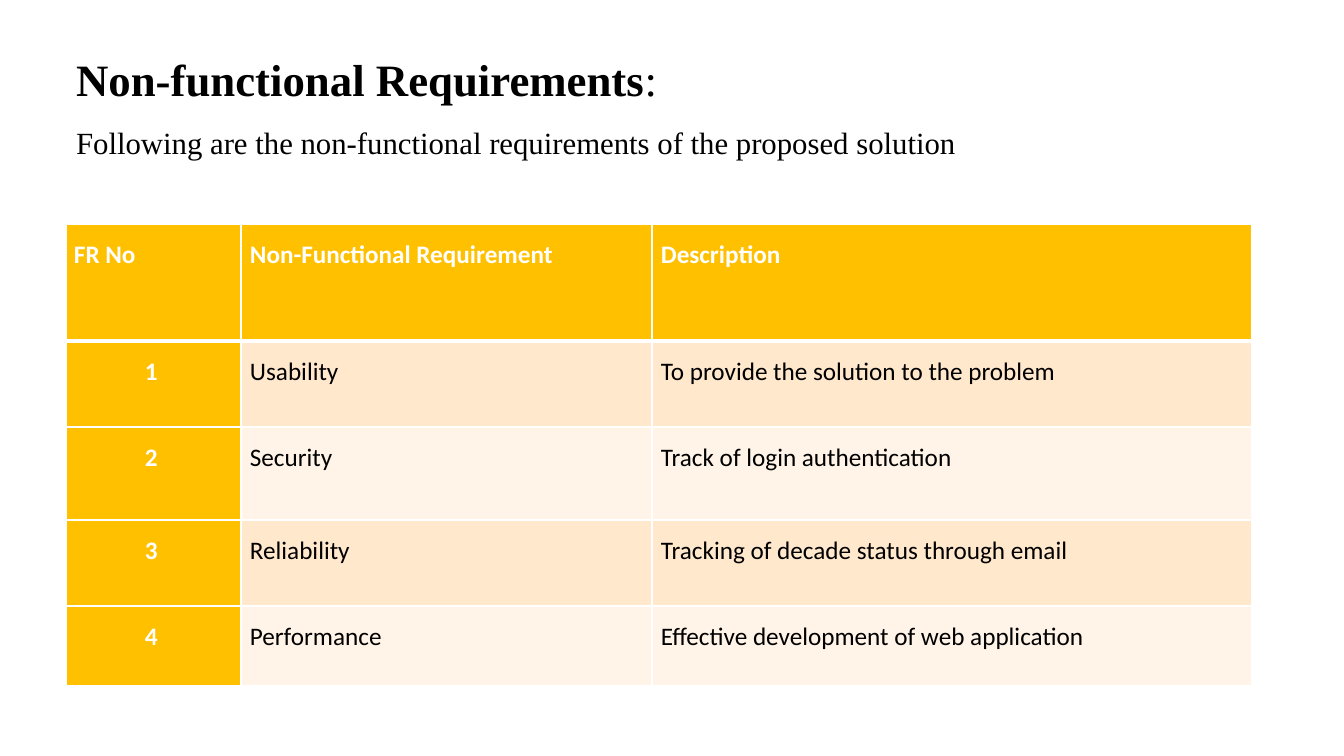
from lxml import etree
from pptx import Presentation
from pptx.dml.color import RGBColor
from pptx.enum.text import MSO_ANCHOR, MSO_AUTO_SIZE, PP_ALIGN
from pptx.oxml.ns import qn
from pptx.util import Pt

PIXEL = 914400 / 100.8
LEFT, CENTER = PP_ALIGN.LEFT, PP_ALIGN.CENTER
MIDDLE, TOP = MSO_ANCHOR.MIDDLE, MSO_ANCHOR.TOP
NO_AUTOFIT = MSO_AUTO_SIZE.NONE

WHITE, BLACK, AMBER = "FFFFFF", "000000", "FFC000"
BANDS = ["FFE8CC", "FFF4E7"]
TITLE_FONT, TABLE_FONT = "Times New Roman", "Calibri"

COLUMN_WIDTHS = [175, 411, 600]
ROW_HEIGHTS = [117, 86, 93, 86, 80]
REQUIREMENTS = [
    ["FR No", "Non-Functional Requirement", "Description"],
    ["1 ", "Usability", "To provide the solution to the problem"],
    ["2 ", "Security", "Track of login authentication"],
    ["3 ", "Reliability", "Tracking of decade status through email"],
    ["4 ", "Performance", "Effective development of web application"],
]


def pixels(count):
    """Turn whole pixels into EMU."""
    return round(count * PIXEL)


def add_run(paragraph, text, font, size, color, bold=False):
    """Append one formatted run to a paragraph."""
    run = paragraph.add_run()
    run.text = text
    run.font.name = font
    run.font.size = Pt(size)
    run.font.bold = bold
    run.font.color.rgb = RGBColor.from_string(color)


presentation = Presentation()
presentation.slide_width = pixels(1344)
presentation.slide_height = pixels(756)
slide = presentation.slides.add_slide(presentation.slide_layouts[5])

# Title with its introductory line
title = slide.shapes.title
title.left, title.top = pixels(66), pixels(20)
title.width, title.height = pixels(1159), pixels(146)
title.text_frame.auto_size = NO_AUTOFIT
title.text_frame.word_wrap = True
title.text_frame.vertical_anchor = MIDDLE
paragraph = title.text_frame.paragraphs[0]
paragraph.alignment = LEFT
paragraph.line_spacing = 1.5
add_run(paragraph, "Non-functional Requirements", TITLE_FONT, 32, BLACK, bold=True)
add_run(paragraph, ":", TITLE_FONT, 32, BLACK)
paragraph.add_line_break()
add_run(paragraph, "Following are the non-functional requirements of the proposed solution",
        TITLE_FONT, 22, BLACK)

# Requirements table
table = slide.shapes.add_table(
    len(ROW_HEIGHTS), len(COLUMN_WIDTHS), pixels(66), pixels(224),
    pixels(sum(COLUMN_WIDTHS)), pixels(sum(ROW_HEIGHTS))).table
table.first_col = True
for column, width in zip(table.columns, COLUMN_WIDTHS):
    column.width = pixels(width)
for row, height in zip(table.rows, ROW_HEIGHTS):
    row.height = pixels(height)

for row_index, texts in enumerate(REQUIREMENTS):
    for column_index, text in enumerate(texts):
        is_header = row_index == 0
        is_heading = is_header or column_index == 0
        cell = table.cell(row_index, column_index)
        cell.margin_left, cell.margin_right = pixels(8), pixels(7)
        cell.margin_top, cell.margin_bottom = pixels(11), 0
        cell.vertical_anchor = TOP
        cell.fill.solid()
        fill = AMBER if is_heading else BANDS[(row_index - 1) % 2]
        cell.fill.fore_color.rgb = RGBColor.from_string(fill)

        paragraph = cell.text_frame.paragraphs[0]
        paragraph.line_spacing = 1.15
        paragraph.alignment = CENTER if column_index == 0 and not is_header else LEFT
        if column_index > 0:
            paragraph._p.get_or_add_pPr().set("marL", str(pixels(1)))
        add_run(paragraph, text, TABLE_FONT, 18, WHITE if is_heading else BLACK, is_heading)

        # Border lines come before the fill in the cell properties
        properties = cell._tc.get_or_add_tcPr()
        for position, side in enumerate(["lnL", "lnR", "lnT", "lnB"]):
            below_header = (side == "lnB" and is_header) or (side == "lnT" and row_index == 1)
            border = etree.Element(qn(f"a:{side}"), w=str(Pt(3 if below_header else 1)))
            solid_fill = etree.SubElement(border, qn("a:solidFill"))
            etree.SubElement(solid_fill, qn("a:srgbClr"), val=WHITE)
            properties.insert(position, border)

presentation.save("out.pptx")
